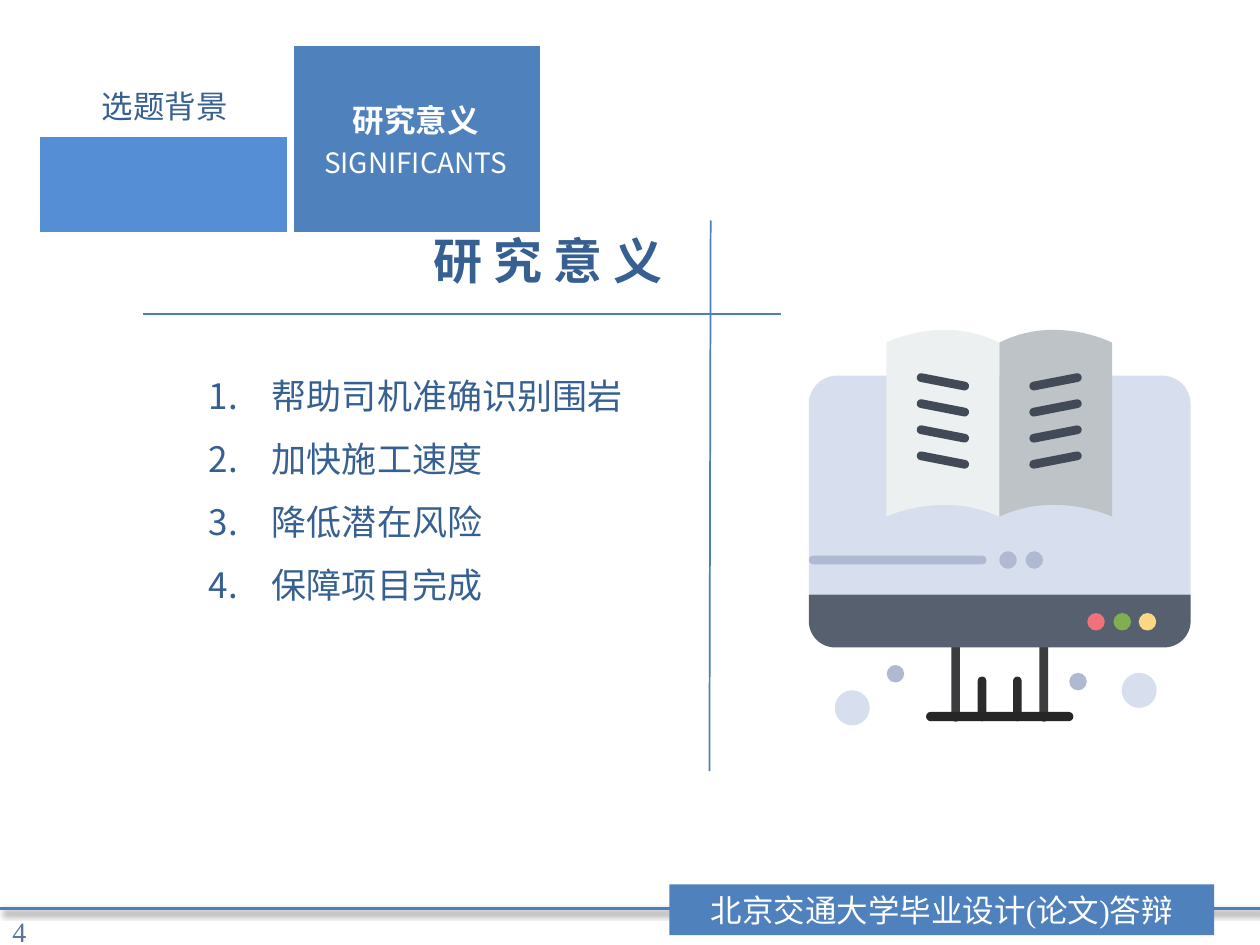
"""Build the research significance slide of a thesis defence deck."""
from lxml.etree import SubElement
from pptx import Presentation
from pptx.dml.color import RGBColor
from pptx.enum.shapes import MSO_CONNECTOR as Connector, MSO_SHAPE as Shape
from pptx.enum.text import MSO_ANCHOR as Anchor, PP_ALIGN as Align
from pptx.oxml.ns import qn
from pptx.util import Pt

SANS, SERIF, LATIN = "Noto Sans CJK SC", "Times New Roman", "Calibri"
NAVY, BLUE, SKY, LINE, WHITE = "376092", "4F81BD", "558ED5", "4B7EBC", "FFFFFF"
PALE, LILAC, INK = "D7DEED", "AFB9D2", "414A56"

REASONS = ["帮助司机准确识别围岩", "加快施工速度", "降低潜在风险", "保障项目完成"]
FOOTER = [("北京交通大学毕业设计", LATIN), ("(论文)", SERIF), ("答辩", LATIN)]
CROSS = [(82, 179.3, 446.4, 179.3), (405.4, 440.6, 406.1, 126)]

SCREEN = (462.2, 214.6, 218.2, 125.2)
CHIN = (462.2, 339.8, 218.2, 30.2)
STAND = [
    (558.7, 386.6, 5, 25.6, "2B2B2B"),
    (578.9, 386.6, 5, 25.6, "2B2B2B"),
    (594, 367.2, 5, 45.2, "3C3B3D"),
    (543.6, 367.2, 5, 45.2, "3C3B3D"),
    (529.2, 406.8, 84.2, 5.3, "262626"),
]
PROGRESS = (462.2, 317.5, 101.5, 5, LILAC)
DOTS = [
    (651, 394.5, 20, PALE), (487, 404.5, 20, PALE),
    (655.7, 355.3, 10, "FCD884"), (641.3, 355.3, 10, "80AF52"),
    (626.3, 355.3, 10, "EF727A"), (616, 389.5, 10, LILAC),
    (511.7, 385, 10, LILAC), (591, 320, 10, LILAC), (576, 320, 10, LILAC),
]
SPINE, LEAF_WIDTH = 571, 64.5
LEAF_TOP, LEAF_BOTTOM = (195.8, 179.3), (295.2, 280)
LEAVES = [(1, "BEC3C7"), (-1, "ECF0F1")]
LINE_TOP, LINE_STEP, LINE_COUNT = 218.2, 14.9, 4


def color(code):
    return RGBColor.from_string(code)


def style(paragraph, size, name, code, bold=False, align=None):
    font = paragraph.font
    font.size, font.name, font.bold = Pt(size), name, bold
    font.color.rgb = color(code)
    defaults = paragraph._p.pPr.find(qn("a:defRPr"))
    SubElement(defaults, qn("a:ea"), typeface=SANS)
    if align is not None:
        paragraph.alignment = align


def paint(shape, code):
    shape.shadow.inherit = False
    shape.fill.solid()
    shape.fill.fore_color.rgb = color(code)
    shape.line.fill.background()


def add_block(shapes, kind, left, top, width, height, code):
    shape = shapes.add_shape(kind, Pt(left), Pt(top), Pt(width), Pt(height))
    paint(shape, code)
    return shape


def add_pill(shapes, *place):
    pill = add_block(shapes, Shape.ROUNDED_RECTANGLE, *place)
    pill.adjustments[0] = 0.5
    return pill


def add_rule(shapes, ends, width):
    rule = shapes.add_connector(Connector.STRAIGHT, *map(Pt, ends))
    rule.line.color.rgb, rule.line.width = color(LINE), Pt(width)
    return SubElement(rule._element.spPr, qn("a:effectLst"))


def add_text(page, left, top, width, height, wrap=True):
    box = page.shapes.add_textbox(Pt(left), Pt(top), Pt(width), Pt(height))
    box.text_frame.word_wrap = wrap
    return box.text_frame


def set_borders(cell, sides):
    properties = cell._tc.get_or_add_tcPr()
    for side in sides:
        border = SubElement(properties, qn(f"a:ln{side}"), w=str(Pt(4.5)))
        fill = SubElement(border, qn("a:solidFill"))
        SubElement(fill, qn("a:srgbClr"), val=WHITE)


def add_footer_line(page):
    effects = add_rule(page.shapes, (0, 519.1, 720, 519.1), 2)
    shadow = SubElement(effects, qn("a:outerShdw"), blurRad=str(Pt(4)),
                        dist=str(Pt(3)), dir="2700000", rotWithShape="0")
    shade = SubElement(shadow, qn("a:srgbClr"), val="000000")
    SubElement(shade, qn("a:alpha"), val="40000")


def add_tabs(page):
    heights = (50.4, 54)
    frame = page.shapes.add_table(2, 2, Pt(22.6), Pt(26), Pt(286.6), Pt(sum(heights)))
    table = frame.table
    table.first_row = table.horz_banding = False
    for row, height in zip(table.rows, heights):
        row.height = Pt(height)
    background, current, strip = table.cell(0, 0), table.cell(0, 1), table.cell(1, 0)
    current.merge(table.cell(1, 1))
    for cell, sides in ((background, "RB"), (current, "L"), (strip, "RT")):
        set_borders(cell, sides)
    background.fill.background()
    for cell, code in ((current, BLUE), (table.cell(1, 1), BLUE), (strip, SKY)):
        cell.fill.solid()
        cell.fill.fore_color.rgb = color(code)
    background.text, background.vertical_anchor = "选题背景", Anchor.BOTTOM
    style(background.text_frame.paragraphs[0], 18, SANS, NAVY, align=Align.CENTER)
    current.text, current.vertical_anchor = "研究意义\nSIGNIFICANTS", Anchor.MIDDLE
    heading, subheading = current.text_frame.paragraphs
    style(heading, 18, SANS, WHITE, True, Align.CENTER)
    style(subheading, 16, SANS, WHITE, align=Align.CENTER)


def add_reasons(page):
    frame = add_text(page, 112.3, 198.7, 266.4, 148.3)
    frame.text = "\n".join(REASONS)
    for para in frame.paragraphs:
        para.line_spacing = Pt(36)
        properties = para._p.get_or_add_pPr()
        properties.set("marL", str(Pt(36)))
        properties.set("indent", str(Pt(-36)))
        SubElement(properties, qn("a:buFont"), typeface=SANS)
        SubElement(properties, qn("a:buAutoNum"), type="arabicPeriod")
        style(para, 20, SERIF, NAVY)


def leaf_curve(side, edge, bend, steps=16):
    points = []
    for step in range(steps + 1):
        t = step / steps
        inner, middle = (1 - t) ** 3, 3 * t * (1 - t) ** 2
        outer = 1 - inner - middle
        across = LEAF_WIDTH * (middle / 2 + outer)
        points.append((SPINE + side * across, edge * (inner + outer) + bend * middle))
    return points


def add_leaf(shapes, side, code):
    outline = leaf_curve(side, *LEAF_TOP) + leaf_curve(side, *LEAF_BOTTOM)[::-1]
    points = [(Pt(x), Pt(y)) for x, y in outline]
    builder = shapes.build_freeform(*points[0], scale=1.0)
    builder.add_line_segments(points[1:], close=True)
    paint(builder.convert_to_shape(), code)
    for index in range(LINE_COUNT):
        center = SPINE + side * 32.2
        top = LINE_TOP + index * LINE_STEP - 2.5
        add_pill(shapes, center - 15.2, top, 30.4, 5, INK).rotation = -11 * side


def add_computer(page):
    shapes = page.shapes.add_group_shape().shapes
    screen = add_block(shapes, Shape.ROUND_2_SAME_RECTANGLE, *SCREEN, PALE)
    screen.adjustments[0] = 0.13
    for place in STAND:
        add_pill(shapes, *place)
    chin = add_block(shapes, Shape.ROUND_2_SAME_RECTANGLE, *CHIN, "57606F")
    chin.adjustments[0], chin.adjustments[1] = 0, 0.5
    for side, code in LEAVES:
        add_leaf(shapes, side, code)
    for x, y, size, code in DOTS:
        add_block(shapes, Shape.OVAL, x - size / 2, y - size / 2, size, size, code)
    add_pill(shapes, *PROGRESS)


def add_footer(page):
    number = add_text(page, 0, 519.1, 45.4, 26.6)
    number.text = "4"
    style(number.paragraphs[0], 16, SERIF, "55759D")
    banner = add_block(page.shapes, Shape.RECTANGLE, 382.6, 505.4, 311.2, 29, BLUE)
    banner.text_frame.vertical_anchor = Anchor.MIDDLE
    para = banner.text_frame.paragraphs[0]
    style(para, 18, LATIN, WHITE, align=Align.CENTER)
    for text, name in FOOTER:
        span = para.add_run()
        span.text, span.font.name = text, name


def main():
    deck = Presentation()
    deck.slide_width, deck.slide_height = Pt(720), Pt(540)
    page = deck.slides.add_slide(deck.slide_layouts[6])
    add_footer_line(page)
    add_tabs(page)
    cross = page.shapes.add_group_shape().shapes
    for ends in CROSS:
        add_rule(cross, ends, 1)
    title = add_text(page, 240.5, 128, 153.4, 41, wrap=False)
    title.text = "研 究 意 义"
    style(title.paragraphs[0], 28, SANS, NAVY, True)
    add_reasons(page)
    add_computer(page)
    add_footer(page)
    deck.save("out.pptx")


if __name__ == "__main__":
    main()
